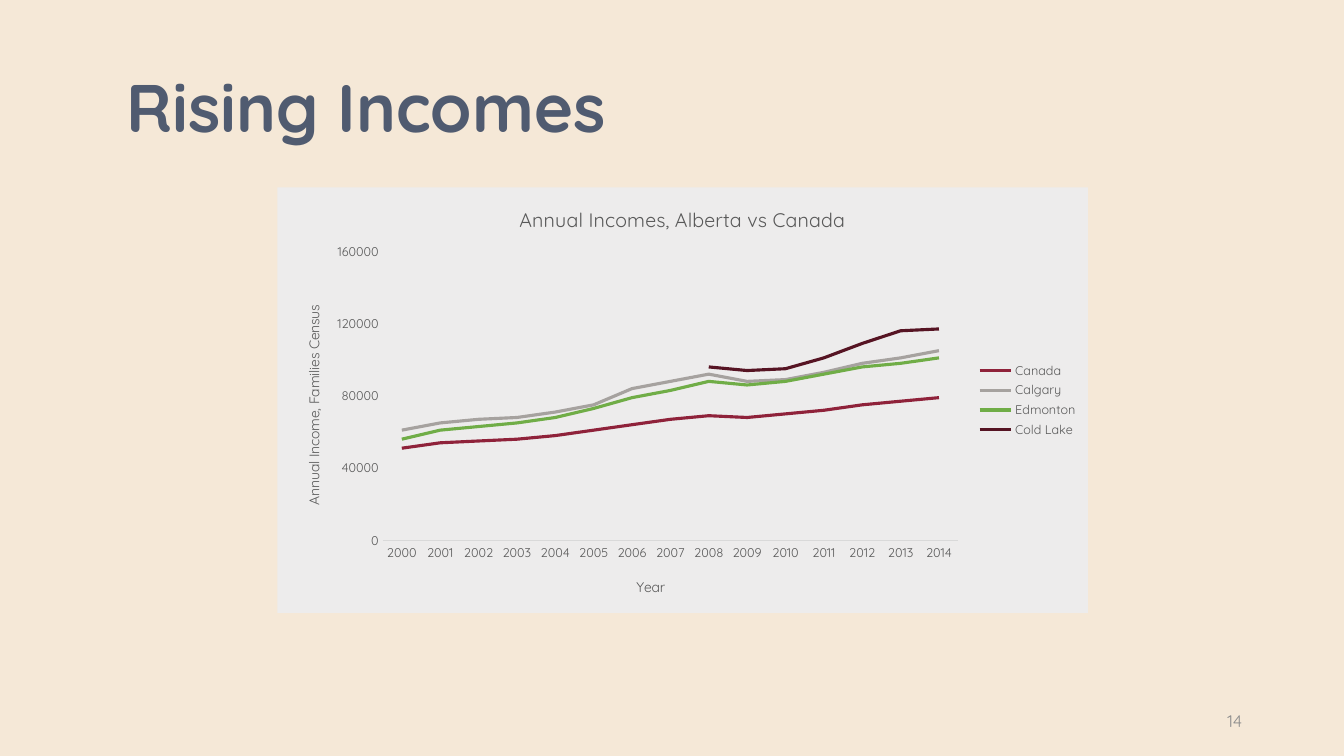
"""Build the Rising Incomes slide with its line chart."""
from dataclasses import dataclass

from lxml import etree
from pptx import Presentation
from pptx import util as u
from pptx.chart import data as cd
from pptx.dml.color import RGBColor
from pptx.enum import chart as ec, text as et
from pptx.oxml import ns


@dataclass(frozen=True)
class Theme:
    font: str = "Quicksand"
    back: str = "F5E8D7"
    panel: str = "EDECEC"
    head: str = "505B70"
    page: str = "8C8C8C"
    label: str = "595959"
    rule: str = "D9D9D9"
    head_size: float = 48
    page_size: float = 12
    chart_size: float = 14
    axis_size: float = 10
    tick_size: float = 9
    line: float = 2.25


@dataclass(frozen=True)
class Town:
    name: str
    color: str
    vals: tuple


T = Theme()
YEARS = [str(year) for year in range(2000, 2015)]
TOWNS = [
    Town("Canada", "8F223A", (51, 54, 55, 56, 58, 61, 64, 67, 69, 68, 70, 72, 75, 77, 79)),
    Town("Calgary", "A6A29F", (61, 65, 67, 68, 71, 75, 84, 88, 92, 88, 89, 93, 98, 101, 105)),
    Town("Edmonton", "70AD47", (56, 61, 63, 65, 68, 73, 79, 83, 88, 86, 88, 92, 96, 98, 101)),
    Town("Cold Lake", "561423", (None,) * 8 + (96, 94, 95, 101, 109, 116, 117)),
]


def style(font, size: float, color: str, bold: bool = False) -> None:
    font.name, font.size, font.bold = T.font, u.Pt(size), bold
    font.color.rgb = RGBColor.from_string(color)


def write(frame, words: str, size: float, color: str, bold: bool = False, align=None) -> None:
    para = frame.paragraphs[0]
    para.alignment = align
    run = para.add_run()
    run.text = words
    style(run.font, size, color, bold)


def place(node, **spots: float) -> None:
    """Give a chart part a manual layout in fractions of the chart."""
    for old in node.findall(ns.qn("c:layout")):
        node.remove(old)
    layout = etree.Element(ns.qn("c:layout"))
    manual = etree.SubElement(layout, ns.qn("c:manualLayout"))
    marks = {"xMode": "edge", "yMode": "edge", **spots}
    if "w" in spots:
        marks = {"layoutTarget": "inner", **marks}
    for key, val in marks.items():
        etree.SubElement(manual, ns.qn(f"c:{key}"), val=str(val))
    node.insert(0 if node.find(ns.qn("c:tx")) is None else 1, layout)


def fill(chart, color: str) -> None:
    """Fill the chart area and drop its outline."""
    props = etree.Element(ns.qn("c:spPr"))
    solid = etree.SubElement(props, ns.qn("a:solidFill"))
    etree.SubElement(solid, ns.qn("a:srgbClr"), val=color)
    edge = etree.SubElement(props, ns.qn("a:ln"))
    etree.SubElement(edge, ns.qn("a:noFill"))
    chart.element.find(ns.qn("c:chart")).addnext(props)


def dress(axis, words: str, x: float, y: float) -> None:
    axis.has_major_gridlines = False
    axis.major_tick_mark = axis.minor_tick_mark = ec.XL_TICK_MARK.NONE
    style(axis.tick_labels.font, T.tick_size, T.label)
    write(axis.axis_title.text_frame, words, T.axis_size, T.label)
    place(axis.axis_title.element, x=x, y=y)


def plot(slide) -> None:
    data = cd.CategoryChartData(number_format="General")
    data.categories = YEARS
    for town in TOWNS:
        data.add_series(town.name, [v and v * 1000 for v in town.vals])
    box = [u.Inches(n) for n in (2.75, 1.86, 8.04, 4.22)]
    chart = slide.shapes.add_chart(ec.XL_CHART_TYPE.LINE, *box, data).chart
    style(chart.font, T.axis_size, "000000")
    fill(chart, T.panel)
    chart.has_title = True
    write(chart.chart_title.text_frame, "Annual Incomes, Alberta vs Canada", T.chart_size, T.label)
    chart.has_legend = True
    chart.legend.position = ec.XL_LEGEND_POSITION.RIGHT
    chart.legend.include_in_layout = False
    style(chart.legend.font, T.tick_size, T.label)

    years, pay = chart.category_axis, chart.value_axis
    dress(years, "Year", 0.44, 0.91)
    years.format.line.color.rgb = RGBColor.from_string(T.rule)
    years.format.line.width = u.Pt(0.75)
    dress(pay, "Annual Income, Families Census", 0.03, 0.27)
    pay.format.line.fill.background()
    pay.minimum_scale, pay.maximum_scale, pay.major_unit = 0, 160000, 40000
    place(chart.element.find(".//" + ns.qn("c:plotArea")), x=0.13, y=0.15, w=0.71, h=0.68)

    chart.plots[0].vary_by_categories = False
    for town, line in zip(TOWNS, chart.plots[0].series):
        line.smooth = False
        line.format.line.color.rgb = RGBColor.from_string(town.color)
        line.format.line.width = u.Pt(T.line)


def main() -> None:
    deck = Presentation()
    deck.slide_width, deck.slide_height = u.Inches(13.33), u.Inches(7.5)
    slide = deck.slides.add_slide(deck.slide_layouts[5])
    slide.background.fill.solid()
    slide.background.fill.fore_color.rgb = RGBColor.from_string(T.back)

    head = slide.shapes.title
    head.left, head.top, head.width, head.height = (u.Inches(n) for n in (1.15, 0.6, 11.02, 0.91))
    head.text_frame.auto_size = et.MSO_AUTO_SIZE.SHAPE_TO_FIT_TEXT
    head.text_frame.vertical_anchor = et.MSO_ANCHOR.TOP
    write(head.text_frame, "Rising Incomes", T.head_size, T.head, True, et.PP_ALIGN.LEFT)

    plot(slide)

    page = slide.shapes.add_textbox(*(u.Inches(n) for n in (9.42, 6.95, 3, 0.4))).text_frame
    page.word_wrap = True
    page.vertical_anchor = et.MSO_ANCHOR.MIDDLE
    write(page, "14", T.page_size, T.page, align=et.PP_ALIGN.RIGHT)
    deck.save("out.pptx")


if __name__ == "__main__":
    main()
